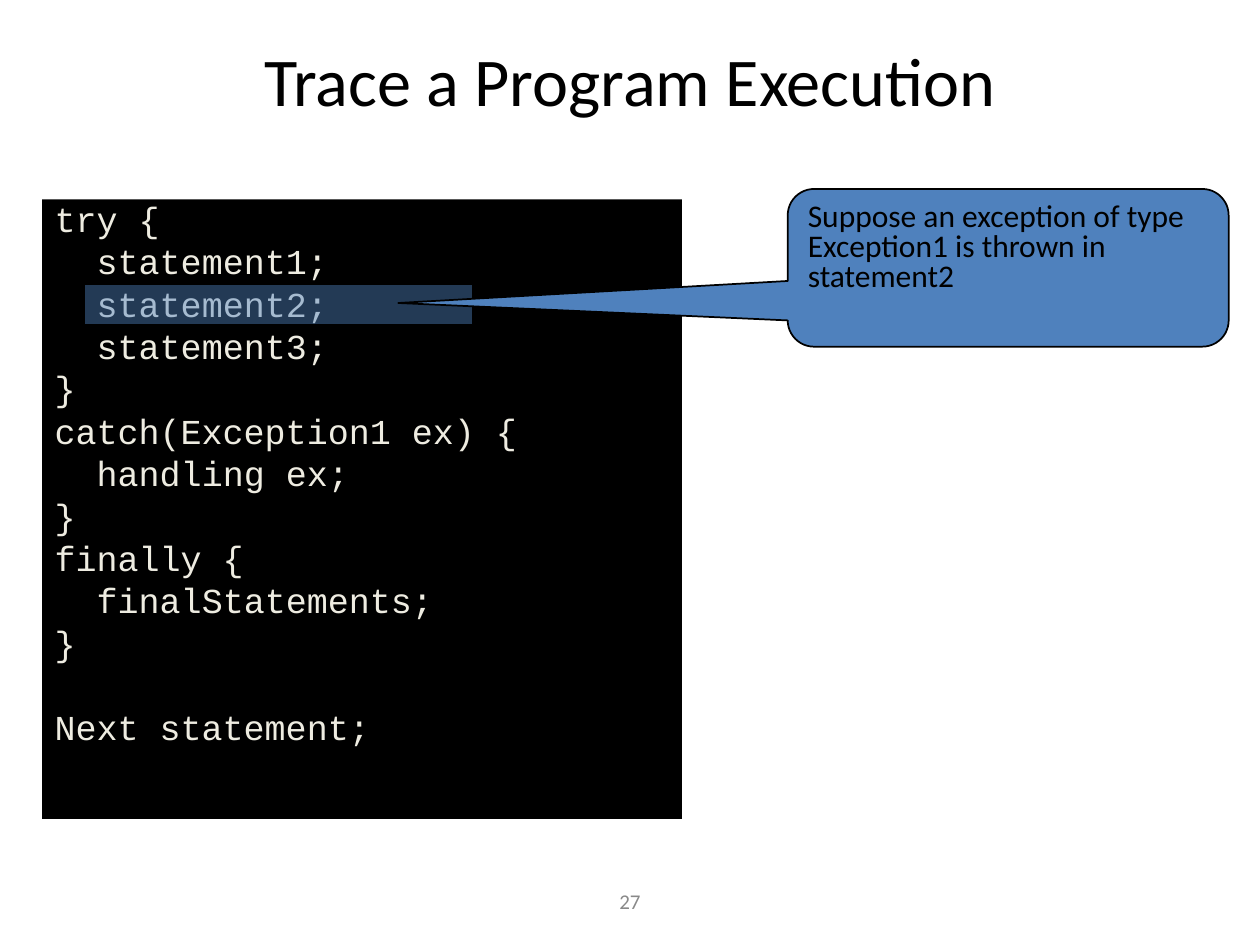
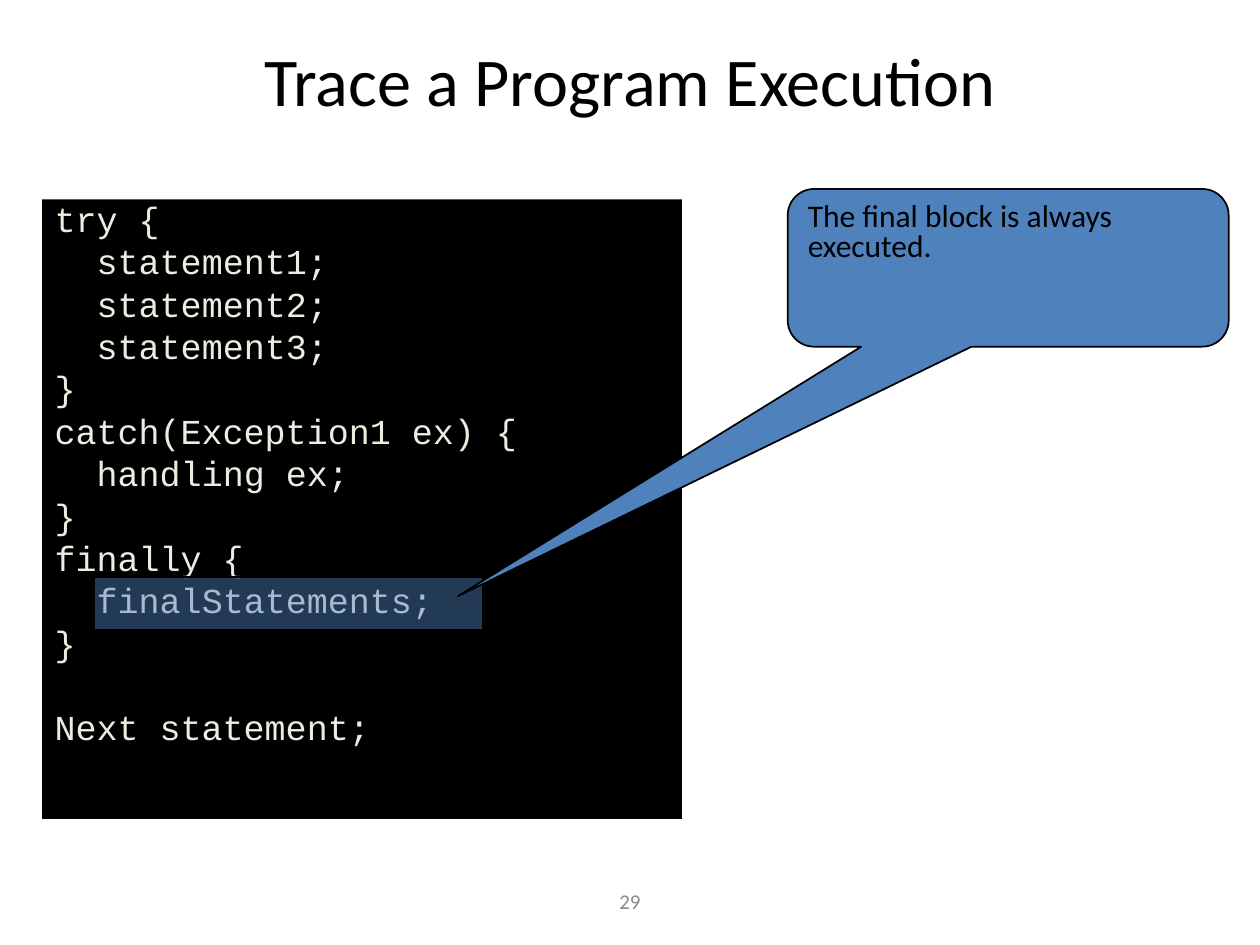
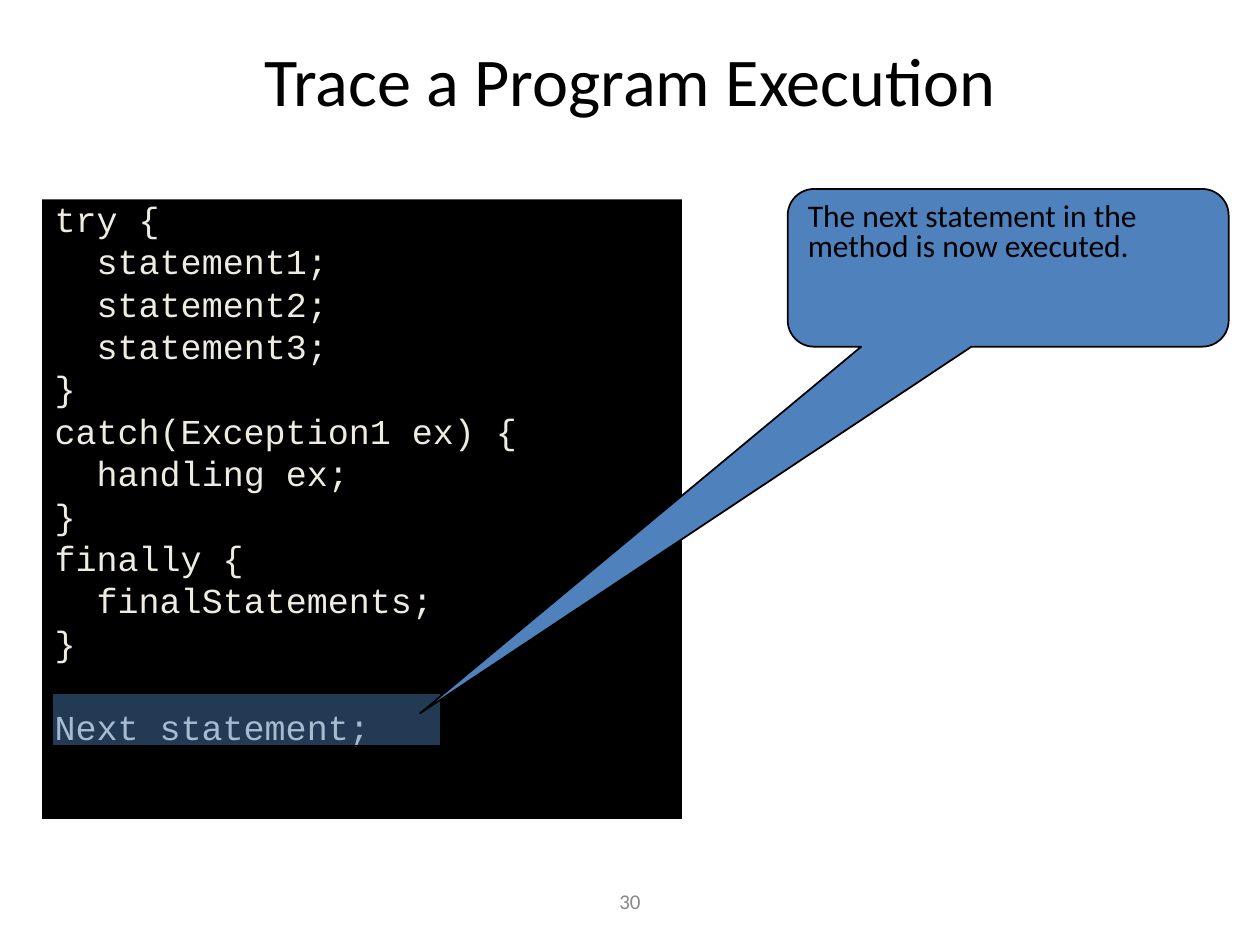
import pptx
import pptx.dml.color
import pptx.enum.shapes
import pptx.enum.text
import pptx.oxml.ns
import pptx.util
import lxml.etree
from dataclasses import dataclass

Cm, Pt = pptx.util.Cm, pptx.util.Pt
SHAPE = pptx.enum.shapes.MSO_SHAPE
ANCHOR = pptx.enum.text.MSO_ANCHOR
ALIGN = pptx.enum.text.PP_ALIGN

# Content
TITLE = "Trace a Program Execution"
CODE = [  # depth, text, follows a gap
    (0, "try {", False),
    (1, "statement1;", False),
    (1, "statement2;", False),
    (1, "statement3;", False),
    (0, "}", False),
    (0, "catch(Exception1 ex) {", False),
    (1, "handling ex;", False),
    (0, "}", False),
    (0, "finally {", False),
    (1, "finalStatements;", False),
    (0, "}", False),
    (0, "Next statement;", True),
]
STEPS = [  # lengths in cm: highlight is left, top, height; tip is x, y
    dict(number="27", highlight=(1.7, 5.72, 0.84), tip=(8.03, 6.11),
         note="Suppose an exception of type Exception1 is thrown in statement2"),
    dict(number="29", highlight=(1.9, 11.64, 1.06), tip=(9.23, 12.02),
         note="The final block is always executed."),
    dict(number="30", highlight=(1.06, 13.97, 1.06), tip=(8.47, 14.38),
         note="The next statement in the method is now executed."),
]


@dataclass(frozen=True)
class Theme:
    ink: str = "000000"
    code: str = "EEECE1"
    accent: str = "4F81BD"
    muted: str = "898989"
    text_font: str = "Calibri"
    code_font: str = "Courier New"
    title_size: float = 39
    code_size: float = 20
    note_size: float = 18
    number_size: float = 12
    leading: float = 0.8
    code_gap: float = 5
    code_pitch: float = 24.2
    note_gap: float = 4.5
    line: float = 1
    opacity: int = 45


T = Theme()

# Boxes in cm: left, top, width, height
TITLE_BOX = (1.9, 0.86, 21.6, 1.48)
CODE_BOX = (0.85, 4.02, 12.9, 12.49)
NOTE_BOX = (15.88, 3.81, 8.89, 3.18)
NUMBER_BOX = (8.68, 17.65, 8.04, 1.02)
HIGHLIGHT_WIDTH = 7.83
HANGING, INDENT = 0.97, 0.85


def rgb(color):
    return pptx.dml.color.RGBColor.from_string(color)


def style(p, size, color, font=T.text_font, align=ALIGN.LEFT):
    p.font.size, p.font.name = Pt(size), font
    p.font.color.rgb = rgb(color)
    p.alignment = align


def add_label(slide, box, text, size, color):
    tf = slide.shapes.add_textbox(*map(Cm, box)).text_frame
    tf.word_wrap, tf.vertical_anchor = True, ANCHOR.MIDDLE
    tf.text = text
    style(tf.paragraphs[0], size, color, align=ALIGN.CENTER)


def add_box(slide, kind, box, fill, outlined=True):
    sp = slide.shapes.add_shape(kind, *map(Cm, box))
    sp.shadow.inherit = False
    sp.fill.solid()
    sp.fill.fore_color.rgb = rgb(fill)
    if outlined:
        sp.line.color.rgb, sp.line.width = rgb(T.ink), Pt(T.line)
    else:
        sp.line.fill.background()
    sp.text_frame.word_wrap = True
    sp.text_frame.vertical_anchor = ANCHOR.TOP
    return sp


def add_code(slide):
    tf = add_box(slide, SHAPE.RECTANGLE, CODE_BOX, T.ink, outlined=False).text_frame
    for i, (depth, text, after_gap) in enumerate(CODE):
        p = tf.add_paragraph() if i else tf.paragraphs[0]
        p.text = text
        style(p, T.code_size, T.code, T.code_font)
        p.line_spacing = T.leading
        p.space_before = Pt(T.code_gap + after_gap * T.code_pitch)
        pPr = p._p.get_or_add_pPr()
        pPr.set("marL", str(Cm(HANGING + depth * INDENT)))
        pPr.set("indent", str(-Cm(HANGING)))


def add_highlight(slide, left, top, height):
    sp = add_box(slide, SHAPE.RECTANGLE, (left, top, HIGHLIGHT_WIDTH, height), T.accent)
    color = sp._element.spPr.find(
        pptx.oxml.ns.qn("a:solidFill") + "/" + pptx.oxml.ns.qn("a:srgbClr"))
    alpha = lxml.etree.SubElement(color, pptx.oxml.ns.qn("a:alpha"))
    alpha.set("val", str(T.opacity * 1000))


def add_note(slide, text, tip):
    sp = add_box(slide, SHAPE.ROUNDED_RECTANGULAR_CALLOUT, NOTE_BOX, T.accent)
    # The tip is measured from the centre, as a share of the box size
    for axis in (0, 1):
        start, size = NOTE_BOX[axis], NOTE_BOX[axis + 2]
        sp.adjustments[axis] = (tip[axis] - start) / size - 0.5
    sp.adjustments[2] = 0.167
    p = sp.text_frame.paragraphs[0]
    p.text = text
    style(p, T.note_size, T.ink)
    p.line_spacing, p.space_before = T.leading, Pt(T.note_gap)


# Build the slides
prs = pptx.Presentation()
prs.slide_width, prs.slide_height = Cm(25.4), Cm(19.05)
for step in STEPS:
    slide = prs.slides.add_slide(prs.slide_layouts[6])
    add_label(slide, NUMBER_BOX, step["number"], T.number_size, T.muted)
    add_label(slide, TITLE_BOX, TITLE, T.title_size, T.ink)
    add_code(slide)
    add_highlight(slide, *step["highlight"])
    add_note(slide, step["note"], step["tip"])
prs.save("out.pptx")
